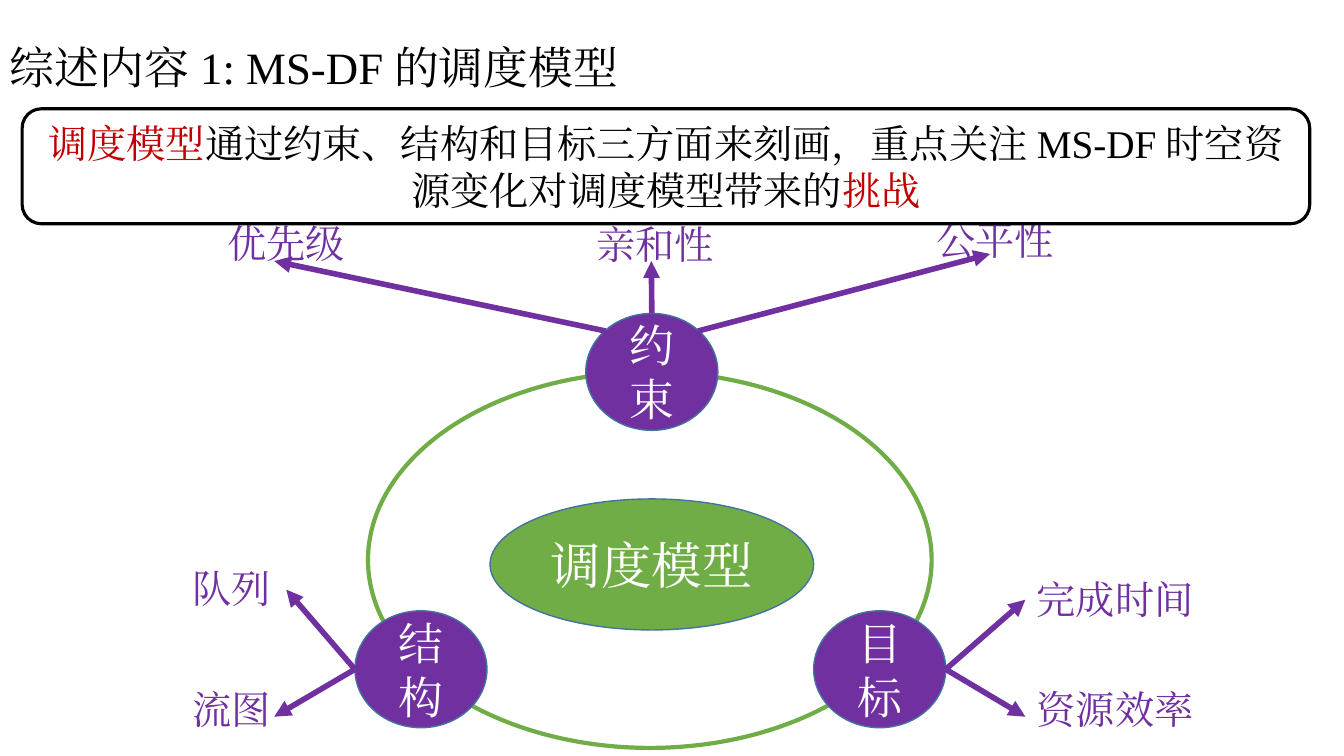
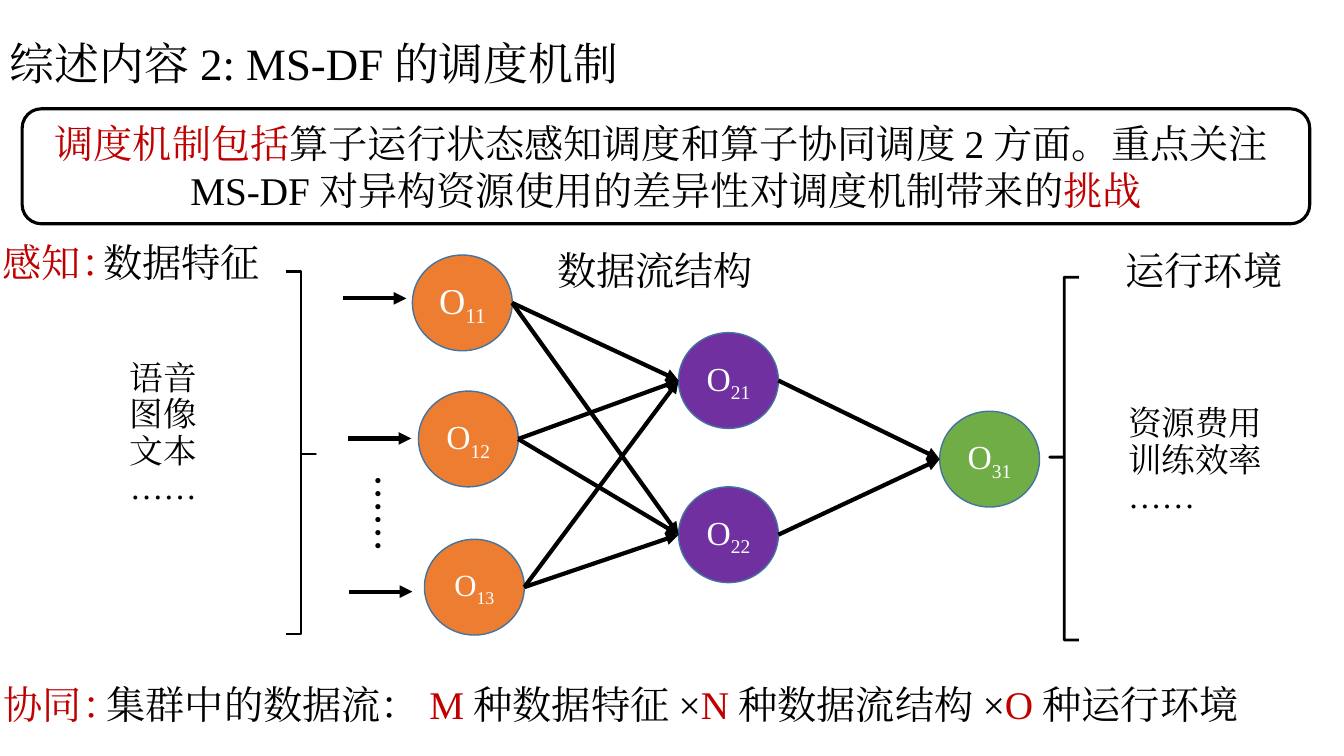
import dataclasses
import lxml.etree
import pptx
import pptx.dml.color
import pptx.enum.shapes
import pptx.enum.text
import pptx.oxml.ns
import pptx.util

Inches = pptx.util.Inches
Kind = pptx.enum.shapes.MSO_SHAPE
Align = pptx.enum.text.PP_ALIGN
Anchor = pptx.enum.text.MSO_ANCHOR


@dataclasses.dataclass(frozen=True)
class Theme:
    black: str = "000000"
    white: str = "FFFFFF"
    red: str = "C00000"
    green: str = "70AD47"
    purple: str = "7030A0"
    orange: str = "ED7D31"
    rim: str = "43739E"
    serif: str = "Times New Roman"
    sans: str = "Noto Sans CJK SC"
    hub: int = 36
    title: int = 32
    body: int = 28
    list: int = 24


T = Theme()


def rgb(code):
    return pptx.dml.color.RGBColor.from_string(code)


def tag(parent, name, **attrs):
    return lxml.etree.SubElement(parent, pptx.oxml.ns.qn(name), attrs)


def write(shape, lines, size, color, face=T.serif, align=Align.CENTER,
          anchor=Anchor.MIDDLE, space=None, asian=T.serif):
    frame = shape.text_frame
    frame.word_wrap = True
    frame.vertical_anchor = anchor
    for i, line in enumerate(lines):
        para = frame.add_paragraph() if i else frame.paragraphs[0]
        para.alignment = align
        para.line_spacing = space
        font = para.font
        font.size = pptx.util.Pt(size)
        font.color.rgb = rgb(color)
        font.name = face
        tag(font._element, "a:ea", typeface=asian)
        for part in [line] if isinstance(line, str) else line:
            words, tint = (part, None) if isinstance(part, str) else part
            run = para.add_run()
            run.text = words
            if tint:
                run.font.color.rgb = rgb(tint)
    return shape


def label(slide, box, lines, size=T.body, color=T.black, face=T.sans,
          anchor=Anchor.TOP, **look):
    shape = slide.shapes.add_textbox(*map(Inches, box))
    return write(shape, lines, size, color, face, anchor=anchor, **look)


def form(slide, kind, box, fill=None, line=T.rim, width=1):
    shape = slide.shapes.add_shape(kind, *map(Inches, box))
    shape.shadow.inherit = False
    if fill:
        shape.fill.solid()
        shape.fill.fore_color.rgb = rgb(fill)
    else:
        shape.fill.background()
    shape.line.color.rgb = rgb(line)
    shape.line.width = pptx.util.Pt(width)
    return shape


def arrow(slide, start, end, color=T.black, width=3):
    link = slide.shapes.add_connector(
        pptx.enum.shapes.MSO_CONNECTOR.STRAIGHT, *map(Inches, (*start, *end)))
    link.line.color.rgb = rgb(color)
    link.line.width = pptx.util.Pt(width)
    tag(link.line._get_or_add_ln(), "a:tailEnd", type="triangle")
    tag(link._element.spPr, "a:effectLst")


def header(slide, text, height):
    label(slide, (0, 0.18, 12.99, height), [text], T.title, face=T.serif,
          align=Align.LEFT, anchor=Anchor.MIDDLE, space=0.9)


def banner(slide, lead, text):
    shape = form(slide, Kind.ROUNDED_RECTANGLE, (0.22, 1.08, 12.77, 1.14),
                 T.white, T.black, 2.25)
    write(shape, [[(lead, T.red), text, ("挑战", T.red)]], T.body, T.black)


def model(slide, box):
    x, y, w, h = box
    wide, high = 1.31, 1.16
    nodes = [
        ("约束", 2.16, -0.58, [
            ("优先级", -1.72, -1.56, 1.82, (0.15, 0.15), (-0.93, -1.1)),
            ("亲和性", 1.94, -1.55, 1.82, (0.5, 0), (2.81, -1.1)),
            ("公平性", 5.31, -1.59, 1.82, (0.85, 0.15), (6.17, -1.17))]),
        ("结构", -0.13, 2.37, [
            ("队列", -2.26, 1.86, 1.82, (0, 0.5), (-0.81, 2.16)),
            ("流图", -2.26, 3.06, 1.82, (0, 0.5), (-0.93, 3.42))]),
        ("目标", 4.42, 2.37, [
            ("完成时间", 6.12, 1.97, 2.58, (1, 0.5), (6.52, 2.26)),
            ("资源效率", 6.12, 3.06, 2.58, (1, 0.5), (6.52, 3.42))]),
    ]
    hub = form(slide, Kind.OVAL, (x + 1.21, y + 1.26, 3.21, 1.3), T.green)
    write(hub, ["调度模型"], T.hub, T.white, T.sans)
    form(slide, Kind.OVAL, box, None, T.green, 3)
    for name, dx, dy, leaves in nodes:
        left, top = x + dx, y + dy
        node = form(slide, Kind.OVAL, (left, top, wide, high), T.purple)
        write(node, [name], T.title, T.white, T.sans)
        for text, tx, ty, span, side, tip in leaves:
            arrow(slide, (left + side[0] * wide, top + side[1] * high),
                  (x + tip[0], y + tip[1]), T.purple, 4)
            label(slide, (x + tx, y + ty, span, 0.57), [text], color=T.purple)


def network(slide, x, y):
    wide, high = 0.99, 0.95
    nodes = {
        "11": (0.69, 0.14, T.orange, 26),
        "12": (0.75, 1.49, T.orange, 24),
        "13": (0.81, 2.96, T.orange, 22),
        "21": (3.33, 0.91, T.purple, 24),
        "22": (3.33, 2.44, T.purple, 24),
        "31": (5.92, 1.69, T.green, 24),
    }
    for dx, dy in [(0, 0.57), (0.05, 1.96), (0.06, 3.48)]:
        arrow(slide, (x + dx, y + dy), (x + dx + 0.63, y + dy))
    dots = label(slide, (x - 0.35, y + 2.42, 1.43, 0.57), ["……"],
                 anchor=Anchor.MIDDLE, asian=T.sans)
    dots.rotation = 90
    for name, (dx, dy, fill, size) in nodes.items():
        node = form(slide, Kind.OVAL, (x + dx, y + dy, wide, high), fill)
        write(node, [["O", name]], size, T.white)
        low = node.text_frame.paragraphs[0].runs[1]
        low._r.get_or_add_rPr().set("baseline", "-25000")
    for start in nodes:
        for end in nodes:
            if int(end[0]) == int(start[0]) + 1:
                ax, ay = nodes[start][:2]
                bx, by = nodes[end][:2]
                arrow(slide, (x + ax + wide, y + ay + high / 2),
                      (x + bx, y + by + high / 2))
    label(slide, (x + 2, y, 2.19, 0.57), ["数据流结构"])


def panel(slide, title, head, lines, body, brace, turn):
    label(slide, head, [title])
    label(slide, body, lines, T.list, face=T.serif, align=Align.LEFT,
          anchor=Anchor.MIDDLE, space=0.9)
    shape = form(slide, Kind.LEFT_BRACE, brace, None, T.black, 2)
    shape.adjustments[0] = 0
    shape.adjustments[1] = 0.496
    shape.rotation = turn


def topic(slide, x, y, text):
    label(slide, (x, y, 1.4, 0.57), [text], color=T.red, face=T.serif,
          align=Align.LEFT)


def main():
    deck = pptx.Presentation()
    deck.slide_width, deck.slide_height = Inches(13.33), Inches(7.5)
    blank = deck.slide_layouts[6]

    slide = deck.slides.add_slide(blank)
    header(slide, "综述内容1: MS-DF的调度模型", 1.02)
    model(slide, (3.65, 3.69, 5.59, 3.73))
    banner(slide, "调度模型",
           "通过约束、结构和目标三方面来刻画，重点关注MS-DF时空资源变化对调度模型带来的")

    slide = deck.slides.add_slide(blank)
    header(slide, "综述内容2: MS-DF的调度机制", 0.95)
    banner(slide, "调度机制包括",
           "算子运行状态感知调度和算子协同调度2方面。"
           "重点关注MS-DF对异构资源使用的差异性对调度机制带来的")
    network(slide, 3.4, 2.39)
    panel(slide, "数据特征", (0.89, 2.32, 1.82, 0.57),
          ["语音", "图像", "文本", "……"], (1.19, 3.38, 1.14, 1.85),
          (2.84, 2.69, 0.29, 3.6), 180)
    panel(slide, "运行环境", (10.89, 2.39, 2.1, 0.57),
          ["资源费用", "训练效率", "……"], (11.09, 3.65, 1.59, 1.85),
          (10.41, 2.75, 0.29, 3.6), 0)
    topic(slide, -0.07, 2.32, "感知：")
    topic(slide, -0.06, 6.7, "协同：")
    label(slide, (0.56, 6.7, 12.22, 0.57), [[
        "集群中的数据流：", ("M", T.red), "种数据特征×", ("N", T.red),
        "种数据流结构×", ("O", T.red), "种运行环境"]], face=T.serif)
    deck.save("out.pptx")


if __name__ == "__main__":
    main()
